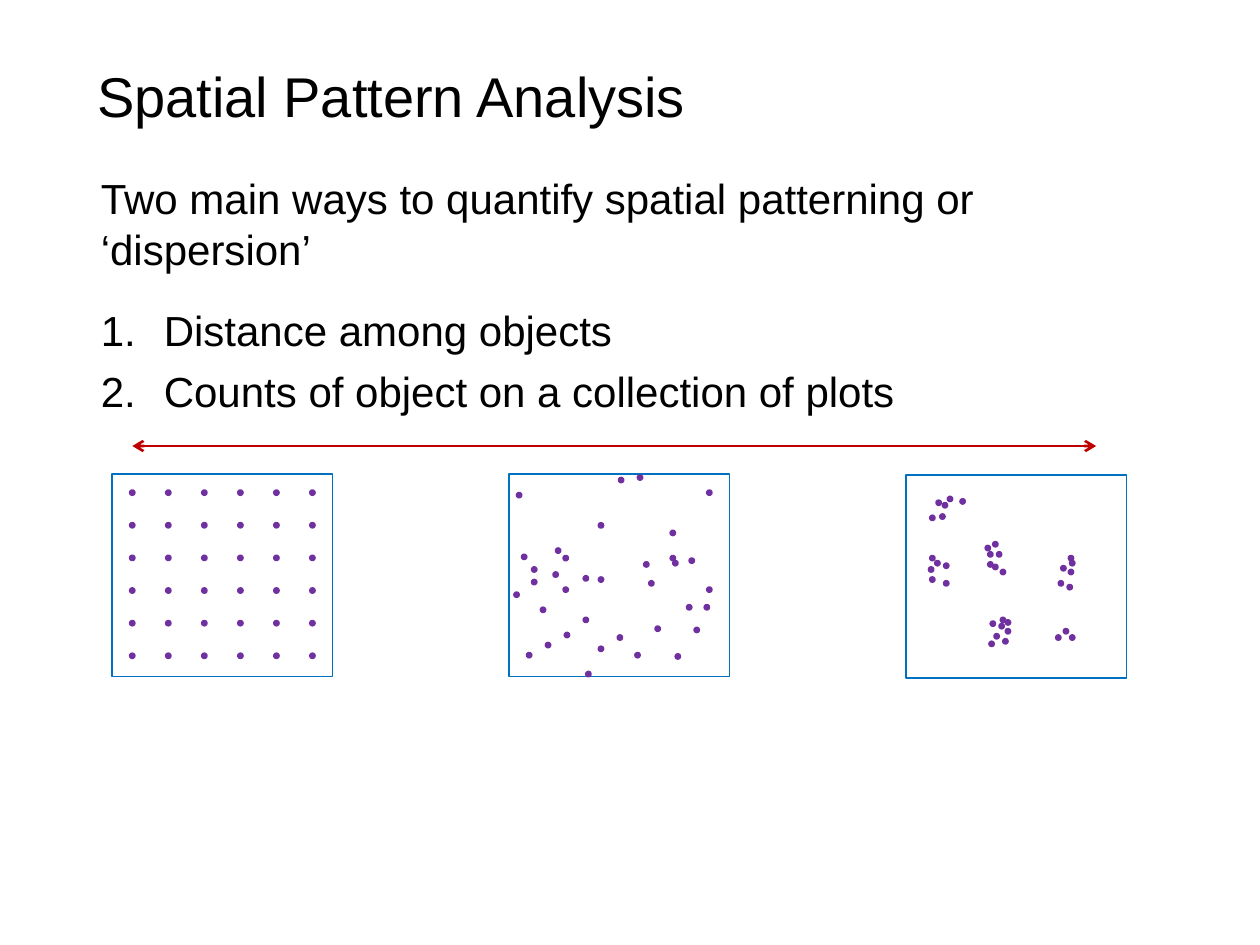
from lxml import etree
from pptx import Presentation, util as u
from pptx.dml.color import RGBColor
from pptx.enum import shapes, text
from pptx.oxml import ns

BLACK = RGBColor(0x00, 0x00, 0x00)
BLUE = RGBColor(0x00, 0x70, 0xC0)
PURPLE = RGBColor(0x70, 0x30, 0xA0)
RED = RGBColor(0xC0, 0x00, 0x00)
PLOT_WIDTH, PLOT_HEIGHT, PLOT_STEP = 1.75, 1.61, 3.15
DOT_SIZE = 0.04

# Dot offsets are hundredths of an inch from the corner of the plot.
REGULAR = [(14 + 28.6 * column, 13 + 25.9 * row)
           for row in range(6) for column in range(6)]
RANDOM = [
    (128, 45), (157, 13), (59, 81), (87, 3), (155, 104), (102, 1),
    (130, 69), (141, 104), (4, 94), (71, 39), (35, 78), (37, 59),
    (128, 65), (143, 67), (43, 65), (147, 122), (6, 15), (107, 70),
    (111, 85), (157, 90), (43, 90), (71, 82), (18, 74), (10, 64),
    (29, 134), (132, 143), (18, 84), (44, 126), (25, 106), (86, 128),
    (116, 121), (59, 114), (61, 157), (71, 137), (14, 142), (100, 142),
]
CLUSTERED = [
    (29, 22), (43, 19), (33, 17), (19, 32), (24, 20), (27, 31),
    (19, 81), (18, 73), (30, 84), (19, 64), (30, 70), (23, 68),
    (72, 61), (63, 56), (65, 61), (69, 53), (65, 69), (69, 71), (75, 75),
    (74, 118), (79, 115), (75, 113), (77, 130), (66, 132), (70, 126),
    (67, 116), (79, 122),
    (123, 72), (130, 68), (129, 64), (129, 75), (128, 87), (121, 84),
    (130, 127), (119, 127), (125, 122),
]


def inches(*lengths):
    """Convert several lengths in inches."""
    return [u.Inches(length) for length in lengths]


def place(shape, *box):
    """Move a placeholder and anchor its text at the top."""
    shape.left, shape.top, shape.width, shape.height = inches(*box)
    shape.text_frame.vertical_anchor = text.MSO_ANCHOR.TOP
    shape.text_frame.auto_size = text.MSO_AUTO_SIZE.NONE


def add_child(parent, tag, **attributes):
    """Append a DrawingML element."""
    return etree.SubElement(parent, ns.qn(tag), attributes)


def format_paragraph(paragraph, size, space_after, numbered=False):
    """Set spacing, font and optional numbering of a paragraph."""
    paragraph.alignment = text.PP_ALIGN.LEFT
    paragraph.space_before, paragraph.space_after = u.Pt(0), u.Pt(space_after)
    properties = paragraph._p.get_or_add_pPr()
    indent = u.Inches(0.5) if numbered else 0
    properties.set("marL", str(indent))
    properties.set("indent", str(-indent))
    if numbered:
        add_child(properties, "a:buAutoNum", type="arabicPeriod")
    else:
        add_child(properties, "a:buNone")
    font = paragraph.font
    font.name, font.size, font.color.rgb = "Arial", u.Pt(size), BLACK


def add_title(slide):
    """Fill the title placeholder."""
    title = slide.shapes.title
    place(title, 0.67, 0.44, 8.69, 0.64)
    title.text_frame.text = "Spatial Pattern Analysis"
    format_paragraph(title.text_frame.paragraphs[0], 32, 12)


def add_body(slide):
    """Fill the body placeholder with the lead and the numbered list."""
    body = slide.placeholders[1]
    place(body, 0.7, 1.32, 8.66, 1.95)
    body.text_frame.text = "\n".join([
        "Two main ways to quantify spatial patterning or ‘dispersion’",
        "Distance among objects",
        "Counts of object on a collection of plots",
    ])
    lead, *items = body.text_frame.paragraphs
    format_paragraph(lead, 24, 18)
    for item in items:
        format_paragraph(item, 24, 6, numbered=True)


def add_outlined(group, kind, box, line_color, fill_color=None):
    """Add a thinly outlined shape to a group."""
    shape = group.shapes.add_shape(kind, *inches(*box))
    shape.shadow.inherit = False
    shape.line.color.rgb, shape.line.width = line_color, u.Pt(1)
    if fill_color is None:
        shape.fill.background()
    else:
        shape.fill.solid()
        shape.fill.fore_color.rgb = fill_color


def add_plot(slide, left, top, dots):
    """Add a framed plot with its dots as one group."""
    group = slide.shapes.add_group_shape()
    add_outlined(group, shapes.MSO_SHAPE.RECTANGLE,
                 (left, top, PLOT_WIDTH, PLOT_HEIGHT), BLUE)
    for across, down in dots:
        box = left + across / 100, top + down / 100, DOT_SIZE, DOT_SIZE
        add_outlined(group, shapes.MSO_SHAPE.OVAL, box, PURPLE, PURPLE)


def add_double_arrow(slide, start, end, height):
    """Add a horizontal line with an open arrowhead at both ends."""
    arrow = slide.shapes.add_connector(
        shapes.MSO_CONNECTOR.STRAIGHT, *inches(start, height, end, height))
    arrow.line.color.rgb, arrow.line.width = RED, u.Pt(1.5)
    line = arrow.line._get_or_add_ln()
    for tag in ("a:headEnd", "a:tailEnd"):
        add_child(line, tag, type="arrow")
    add_child(arrow._element.spPr, "a:effectLst")


def main():
    """Build and save the slide."""
    presentation = Presentation()
    presentation.slide_width, presentation.slide_height = inches(10, 7.5)
    slide = presentation.slides.add_slide(presentation.slide_layouts[1])
    add_title(slide)
    add_body(slide)
    plots = [(3.76, REGULAR), (3.76, RANDOM), (3.77, CLUSTERED)]
    for column, (top, dots) in enumerate(plots):
        add_plot(slide, 0.89 + column * PLOT_STEP, top, dots)
    add_double_arrow(slide, 1.05, 8.7, 3.54)
    presentation.save("out.pptx")


if __name__ == "__main__":
    main()
